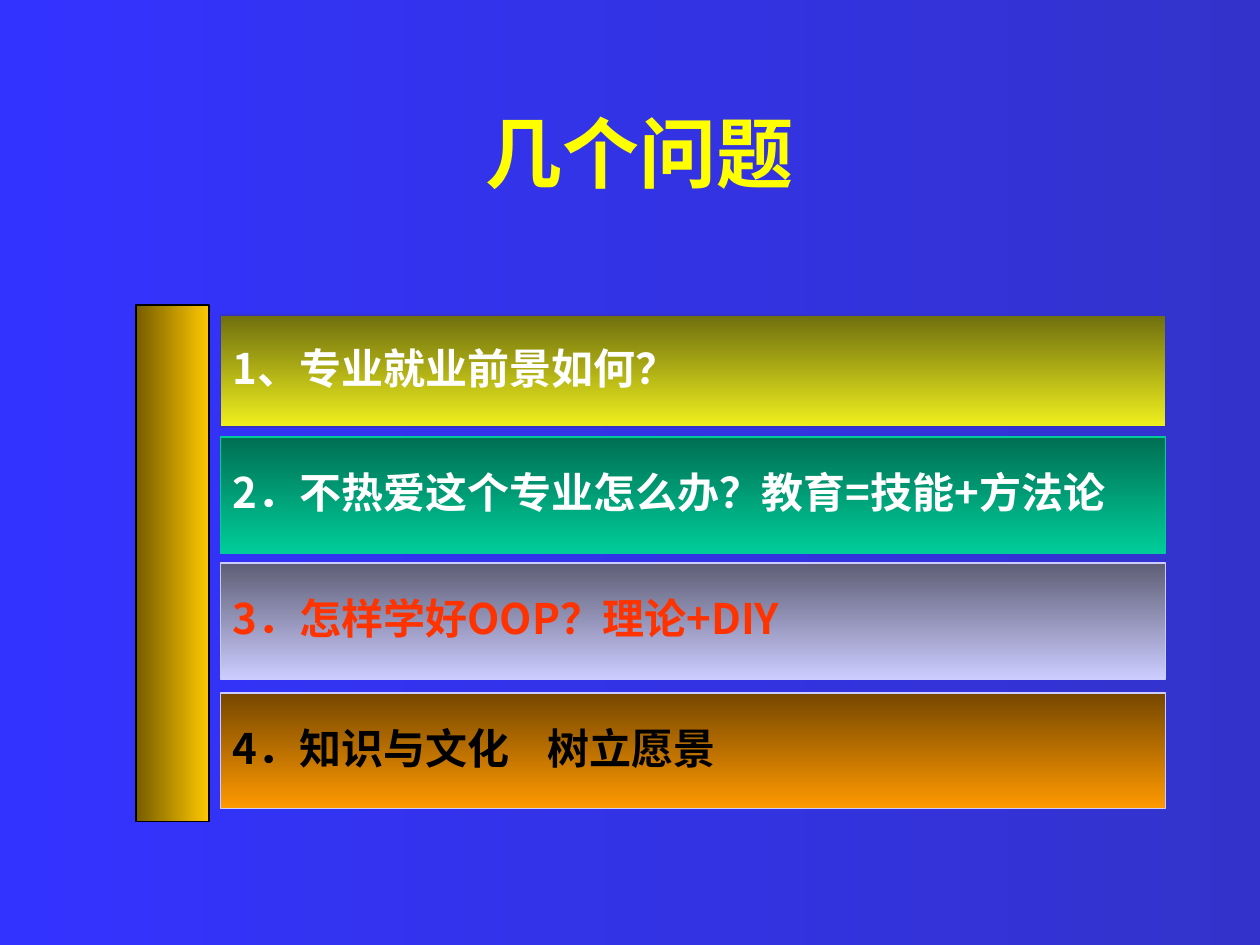
from lxml.etree import SubElement
from pptx import Presentation
from pptx.dml.color import RGBColor
from pptx.enum.shapes import MSO_SHAPE as SHAPE
from pptx.enum.text import MSO_ANCHOR as ANCHOR, PP_ALIGN as ALIGN
from pptx.oxml.ns import qn
from pptx.util import Inches, Pt

BLUE = RGBColor(0x33, 0x33, 0xFF)
DEEP_BLUE = RGBColor(0x33, 0x33, 0xCC)
YELLOW = RGBColor(0xFF, 0xFF, 0x00)
WHITE = RGBColor(0xFF, 0xFF, 0xFF)
BLACK = RGBColor(0x00, 0x00, 0x00)
RED = RGBColor(0xFF, 0x33, 0x00)
DARK_GOLD = RGBColor(0x76, 0x5C, 0x00)
GOLD = RGBColor(0xFF, 0xC8, 0x00)
OLIVE = RGBColor(0x6F, 0x6F, 0x0E)
LEMON = RGBColor(0xF0, 0xF0, 0x1E)
DARK_GREEN = RGBColor(0x00, 0x6F, 0x53)
GREEN = RGBColor(0x00, 0xCC, 0x99)
SLATE = RGBColor(0x5E, 0x5E, 0x76)
LILAC = RGBColor(0xCC, 0xCC, 0xFF)
BROWN = RGBColor(0x76, 0x47, 0x00)
ORANGE = RGBColor(0xFF, 0x99, 0x00)

TITLE_FONT = "Times New Roman"
BODY_FONT = "Noto Sans CJK SC"
RIGHTWARD, DOWNWARD = 0, 270

QUESTIONS = [
    ("1、专业就业前景如何？", WHITE, OLIVE, LEMON, DEEP_BLUE, 0.02, 0.217),
    ("2．不热爱这个专业怎么办？教育=技能+方法论", WHITE, DARK_GREEN, GREEN, GREEN, 0.256, 0.224),
    ("3．怎样学好OOP？理论+DIY", RED, SLATE, LILAC, LILAC, 0.5, 0.224),
    ("4．知识与文化\t树立愿景", BLACK, BROWN, ORANGE, LILAC, 0.751, 0.224),
]


def set_gradient(fill, start, end, angle):
    fill.gradient()
    fill.gradient_angle = angle
    for stop, color in zip(fill.gradient_stops, (start, end)):
        stop.color.rgb = color


def format_runs(p, font, size, color):
    for r in p.runs:
        r.font.name = font
        r.font.size = Pt(size)
        r.font.bold = True
        r.font.color.rgb = color
        SubElement(r.font._element, qn("a:ea"), typeface=BODY_FONT)


def add_panel(slide, box, start, end, angle, line, width):
    sp = slide.shapes.add_shape(SHAPE.RECTANGLE, *(Inches(v) for v in box))
    sp.shadow.inherit = False
    set_gradient(sp.fill, start, end, angle)
    sp.line.color.rgb = line
    sp.line.width = Pt(width)
    return sp


def add_title(slide, box, text):
    sp = slide.shapes.title
    sp.left, sp.top, sp.width, sp.height = (Inches(v) for v in box)
    tf = sp.text_frame
    tf.text = text
    tf.vertical_anchor = ANCHOR.MIDDLE
    tf.margin_left = Inches(0.25)
    p = tf.paragraphs[0]
    p.alignment = ALIGN.CENTER
    format_runs(p, TITLE_FONT, 44, YELLOW)


def add_question(slide, box, text, color, start, end, line):
    sp = add_panel(slide, box, start, end, DOWNWARD, line, 1)
    tf = sp.text_frame
    tf.word_wrap = False
    tf.vertical_anchor = ANCHOR.MIDDLE
    p = tf.paragraphs[0]
    p.text = text
    p.alignment = ALIGN.LEFT
    p.line_spacing = 0.9
    if "\t" in text:
        tabs = SubElement(p._p.get_or_add_pPr(), qn("a:tabLst"))
        SubElement(tabs, qn("a:tab"), pos=str(Inches(2.5)), algn="l")
    format_runs(p, BODY_FONT, 24, color)


def add_question_list(slide, box):
    left, top, width, height = box
    add_panel(slide, (left, top, width * 0.071, height),
              DARK_GOLD, GOLD, RIGHTWARD, BLACK, 0.75)
    for text, color, start, end, line, offset, share in QUESTIONS:
        row = (left + width * 0.082, top + height * offset,
               width * 0.918, height * share)
        add_question(slide, row, text, color, start, end, line)


def main():
    prs = Presentation()
    prs.slide_width, prs.slide_height = Inches(10), Inches(7.5)
    slide = prs.slides.add_slide(prs.slide_layouts[5])
    set_gradient(slide.background.fill, BLUE, DEEP_BLUE, RIGHTWARD)
    add_title(slide, (0, 0.58, 10, 1.25), "几个问题")
    add_question_list(slide, (1.08, 2.42, 8.17, 4.1))
    prs.save("out.pptx")


if __name__ == "__main__":
    main()
